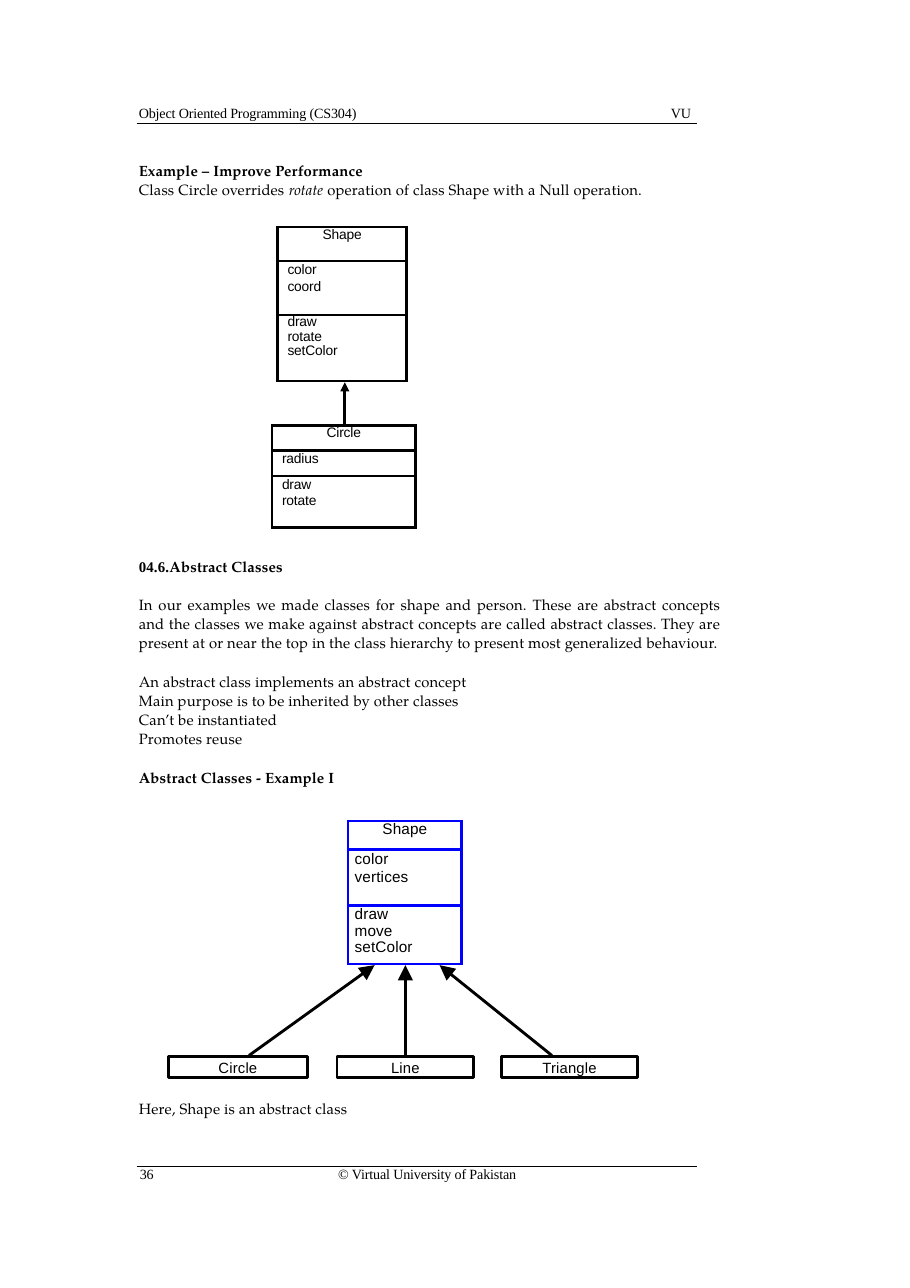
import pptx
import pptx.dml.color
import pptx.enum.shapes
import pptx.enum.text
import pptx.oxml
import pptx.oxml.ns
import pptx.util
from dataclasses import dataclass

Inches = pptx.util.Inches
Pt = pptx.util.Pt
ALIGN = pptx.enum.text.PP_ALIGN
ANCHOR = pptx.enum.text.MSO_ANCHOR
CONNECTOR = pptx.enum.shapes.MSO_CONNECTOR


@dataclass(frozen=True)
class Theme:
    ink: str = "000000"
    paper: str = "FFFFFF"
    abstract: str = "0000FF"
    margin_font: str = "Times New Roman"
    body_font: str = "TeX Gyre Pagella"
    diagram_font: str = "Arial"
    margin_size: float = 9.2
    body_size: float = 9.7
    small_class_size: float = 9
    class_size: float = 10
    rule: float = 0.66
    outline: float = 1.88


THEME = Theme()
MARGIN = dict(font=THEME.margin_font, size=THEME.margin_size, tracking=-0.1)
BODY = dict(font=THEME.body_font, size=THEME.body_size, tracking=0.1)
DIAGRAM = dict(font=THEME.diagram_font, tracking=0.1)


def rgb(code):
    return pptx.dml.color.RGBColor.from_string(code)


def write(frame, text, font, size, tracking=0, bold=False, italic=False, align=ALIGN.LEFT,
          before=0, spacing=None, fresh=True):
    """Write one paragraph; text is a string or a list of (string, run format) pairs."""
    paragraph = frame.paragraphs[0] if fresh else frame.add_paragraph()
    paragraph.alignment = align
    if before:
        paragraph.space_before = Pt(before)
    if spacing:
        paragraph.line_spacing = spacing
    for words, own in [(text, {})] if isinstance(text, str) else text:
        run = paragraph.add_run()
        run.text = words
        run.font.name = own.get("font", font)
        run.font.size = Pt(size)
        run.font.bold = bold
        run.font.italic = own.get("italic", italic)
        run.font.color.rgb = rgb(THEME.ink)
        run.font._element.set("spc", str(round(tracking * 100)))


def clear_margins(holder):
    holder.margin_left = holder.margin_right = holder.margin_top = holder.margin_bottom = 0


def text_area(slide, left, top, width, height):
    frame = slide.shapes.add_textbox(Inches(left), Inches(top), Inches(width), Inches(height)).text_frame
    frame.word_wrap = True
    clear_margins(frame)
    return frame


def line(slide, start, end, weight, head=None):
    """Draw a straight line, with an arrowhead of the given size at its end."""
    link = slide.shapes.add_connector(CONNECTOR.STRAIGHT, *map(Inches, start + end))
    link.line.color.rgb = rgb(THEME.ink)
    link.line.width = Pt(weight)
    properties = link._element.spPr
    if head:
        tail = pptx.oxml.parse_xml(
            f'<a:tailEnd {pptx.oxml.ns.nsdecls("a")} type="triangle" w="{head}" len="{head}"/>')
        link.line._get_or_add_ln().append(tail)
    properties.append(pptx.oxml.parse_xml(f'<a:effectLst {pptx.oxml.ns.nsdecls("a")}/>'))


def margin_line(slide, left, rule_top, text_top, width, entries):
    """Page header or footer: a rule and short texts, each (offset, width, words)."""
    line(slide, (left, rule_top), (left + width, rule_top), THEME.rule)
    for offset, room, words in entries:
        write(text_area(slide, left + offset, text_top, room, 0.16), words, **MARGIN)


def override_intro(slide, left, top, width):
    frame = text_area(slide, left, top, width, 0.34)
    write(frame, "Example – Improve Performance", bold=True, **BODY)
    sentence = [("Class Circle overrides ", {}), ("rotate", {"italic": True}),
                (" operation of class Shape with a Null operation.", {})]
    write(frame, sentence, before=0.6, fresh=False, **BODY)


def abstract_section(slide, left, top, width):
    frame = text_area(slide, left, top, width, 2.28)
    write(frame, [("04.6.", {"font": THEME.margin_font}), ("Abstract Classes", {})], bold=True, **BODY)
    write(frame, "In our examples we made classes for shape and person. These are abstract concepts "
          "and the classes we make against abstract concepts are called abstract classes. They are "
          "present at or near the top in the class hierarchy to present most generalized behaviour.",
          align=ALIGN.JUSTIFY, before=12.8, spacing=1.07, fresh=False, **BODY)
    traits = ["An abstract class implements an abstract concept",
              "Main purpose is to be inherited by other classes",
              "Can’t be instantiated", "Promotes reuse"]
    for index, trait in enumerate(traits):
        write(frame, trait, before=0 if index else 12.8, spacing=1.07, fresh=False, **BODY)
    write(frame, "Abstract Classes - Example I", bold=True, before=13.6, fresh=False, **BODY)


def outline_cell(cell, color):
    """Give all four sides of a cell the class outline."""
    for side in "LRTB":
        cell._tc.get_or_add_tcPr().append(pptx.oxml.parse_xml(
            f'<a:ln{side} {pptx.oxml.ns.nsdecls("a")} w="{Pt(THEME.outline)}">'
            f'<a:solidFill><a:srgbClr val="{color}"/></a:solidFill></a:ln{side}>'))
    cell.fill.solid()
    cell.fill.fore_color.rgb = rgb(THEME.paper)


def class_table(slide, left, top, width, heights, sections, spacings, indent, color, size, tracking):
    """UML class: name, attributes and operations in stacked cells."""
    table = slide.shapes.add_table(len(heights), 1, Inches(left), Inches(top),
                                   Inches(width), Inches(sum(heights))).table
    table.first_row = table.horz_banding = False
    table.columns[0].width = Inches(width)
    for index, (height, members, spacing) in enumerate(zip(heights, sections, spacings)):
        table.rows[index].height = Inches(height)
        cell = table.cell(index, 0)
        clear_margins(cell)
        cell.margin_left = Inches(indent if index else 0)
        outline_cell(cell, color)
        for position, member in enumerate(members):
            write(cell.text_frame, member, font=THEME.diagram_font, size=size, tracking=tracking,
                  align=ALIGN.LEFT if index else ALIGN.CENTER, spacing=spacing, fresh=position == 0)


def override_diagram(slide, left, top):
    """Circle inherits from Shape and overrides rotate."""
    style = dict(indent=0.09, color=THEME.ink, size=THEME.small_class_size, tracking=-0.1)
    class_table(slide, left + 0.05, top, 1.17, [0.31, 0.49, 0.6],
                [["Shape"], ["color", "coord"], ["draw", "rotate", "setColor"]],
                [None, Pt(10.8), 0.94], **style)
    class_table(slide, left, top + 1.8, 1.3, [0.23, 0.23, 0.47],
                [["Circle"], ["radius"], ["draw", "rotate"]], [None, None, Pt(10.7)], **style)
    line(slide, (left + 0.66, top + 1.81), (left + 0.66, top + 1.41), THEME.outline, "med")


def abstract_diagram(slide, left, top):
    """Three concrete classes inherit from the abstract Shape."""
    class_table(slide, left + 1.63, top, 1.03, [0.26, 0.51, 0.53],
                [["Shape"], ["color", "vertices"], ["draw", "move", "setColor"]],
                [None, Pt(11.9), 0.99], indent=0.06, color=THEME.abstract,
                size=THEME.class_size, tracking=0.1)
    # name, box offset, box width, arrow start, arrow end
    children = [("Circle", 0, 1.26, 0.73, 1.87),
                ("Line", 1.53, 1.24, 2.15, 2.15),
                ("Triangle", 3.02, 1.24, 3.48, 2.46)]
    for name, offset, width, start, end in children:
        child = slide.shapes.add_shape(pptx.enum.shapes.MSO_SHAPE.RECTANGLE, Inches(left + offset),
                                       Inches(top + 2.14), Inches(width), Inches(0.19))
        child.shadow.inherit = False
        child.fill.background()
        child.line.color.rgb = rgb(THEME.ink)
        child.line.width = Pt(THEME.outline)
        clear_margins(child.text_frame)
        child.text_frame.vertical_anchor = ANCHOR.MIDDLE
        write(child.text_frame, name, size=THEME.body_size, align=ALIGN.CENTER, **DIAGRAM)
        line(slide, (left + start, top + 2.13), (left + end, top + 1.31), THEME.outline, "lg")


def main():
    deck = pptx.Presentation()
    deck.slide_width, deck.slide_height = Inches(8.26), Inches(11.69)
    page = deck.slides.add_slide(deck.slide_layouts[6])
    margin_line(page, 1.24, 1.12, 0.95, 5.09,
                [(0.02, 2.3, "Object Oriented Programming (CS304)"), (4.85, 0.3, "VU")])
    override_intro(page, 1.26, 1.47, 5)
    override_diagram(page, 2.47, 2.06)
    abstract_section(page, 1.26, 5.06, 5.29)
    abstract_diagram(page, 1.53, 7.45)
    write(text_area(page, 1.26, 9.98, 2.5, 0.16), "Here, Shape is an abstract class", **BODY)
    margin_line(page, 1.24, 10.59, 10.58, 5.09,
                [(0.03, 0.3, "36"), (1.83, 2, "© Virtual University of Pakistan")])
    deck.save("out.pptx")


if __name__ == "__main__":
    main()
